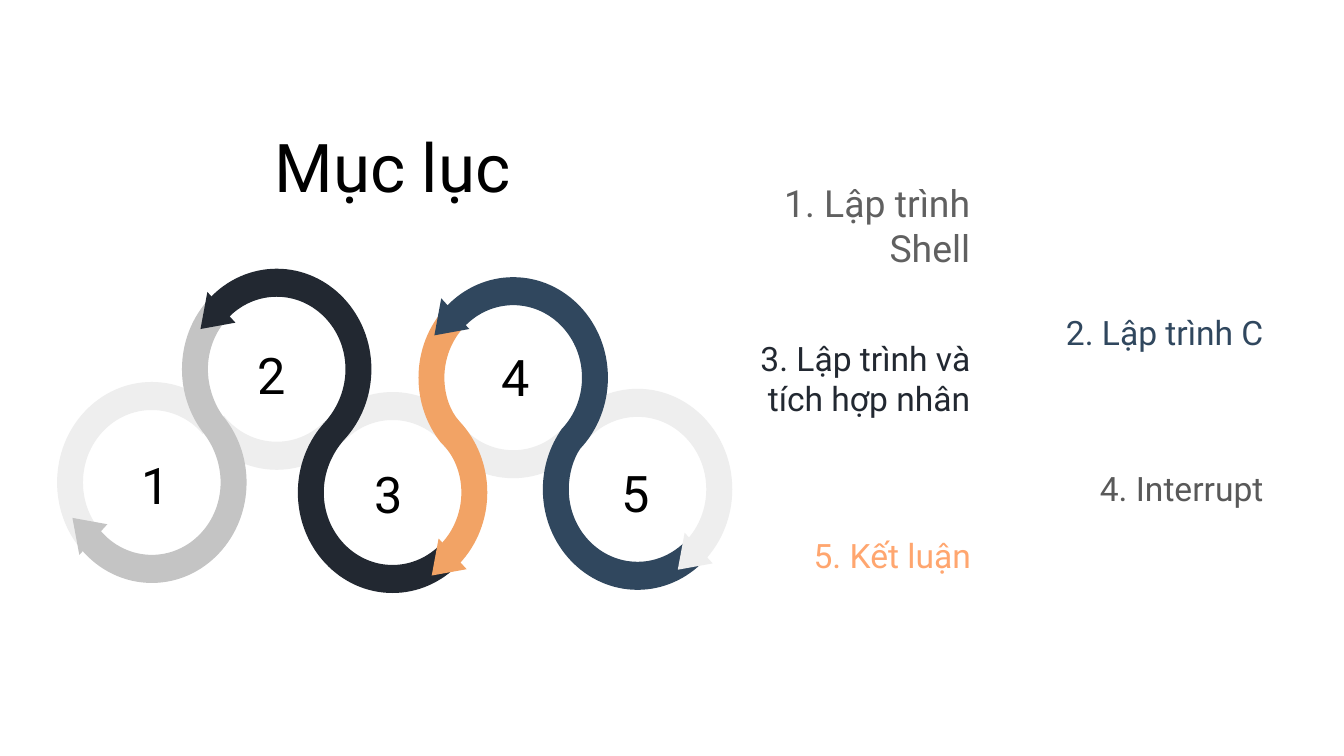
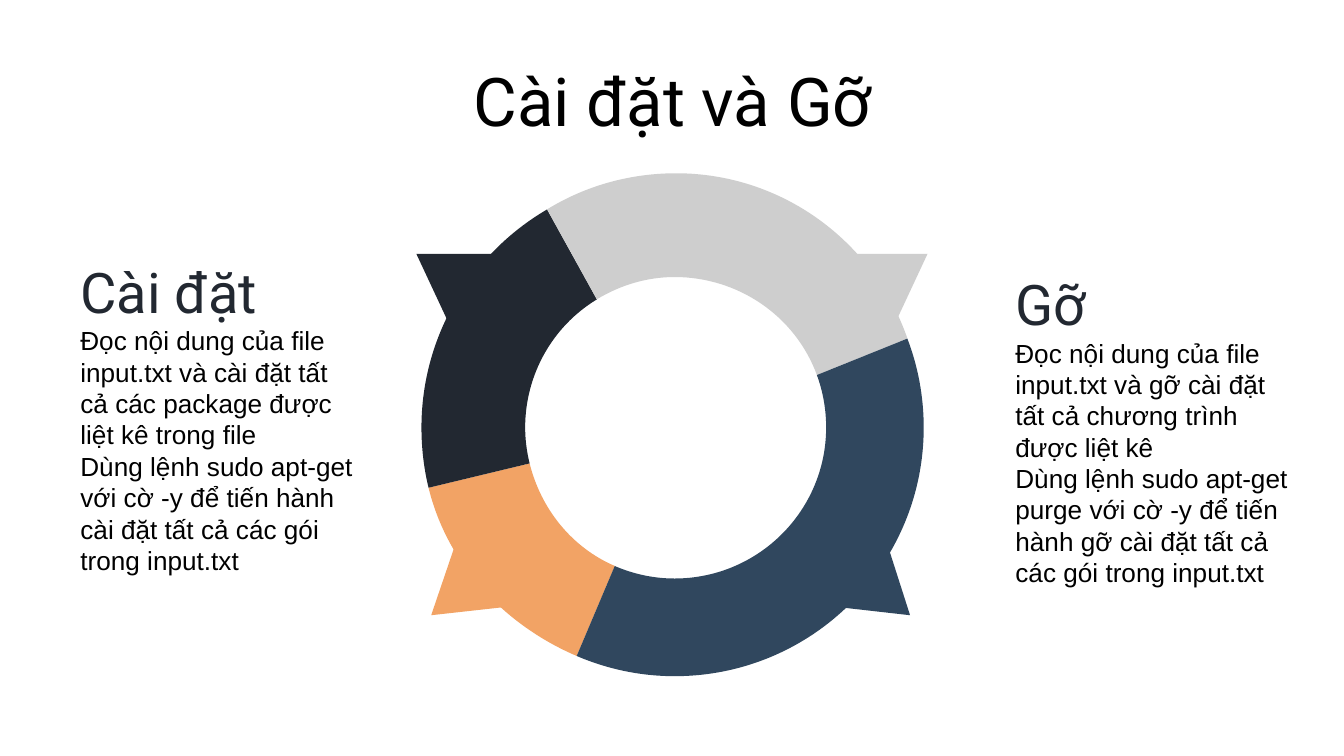
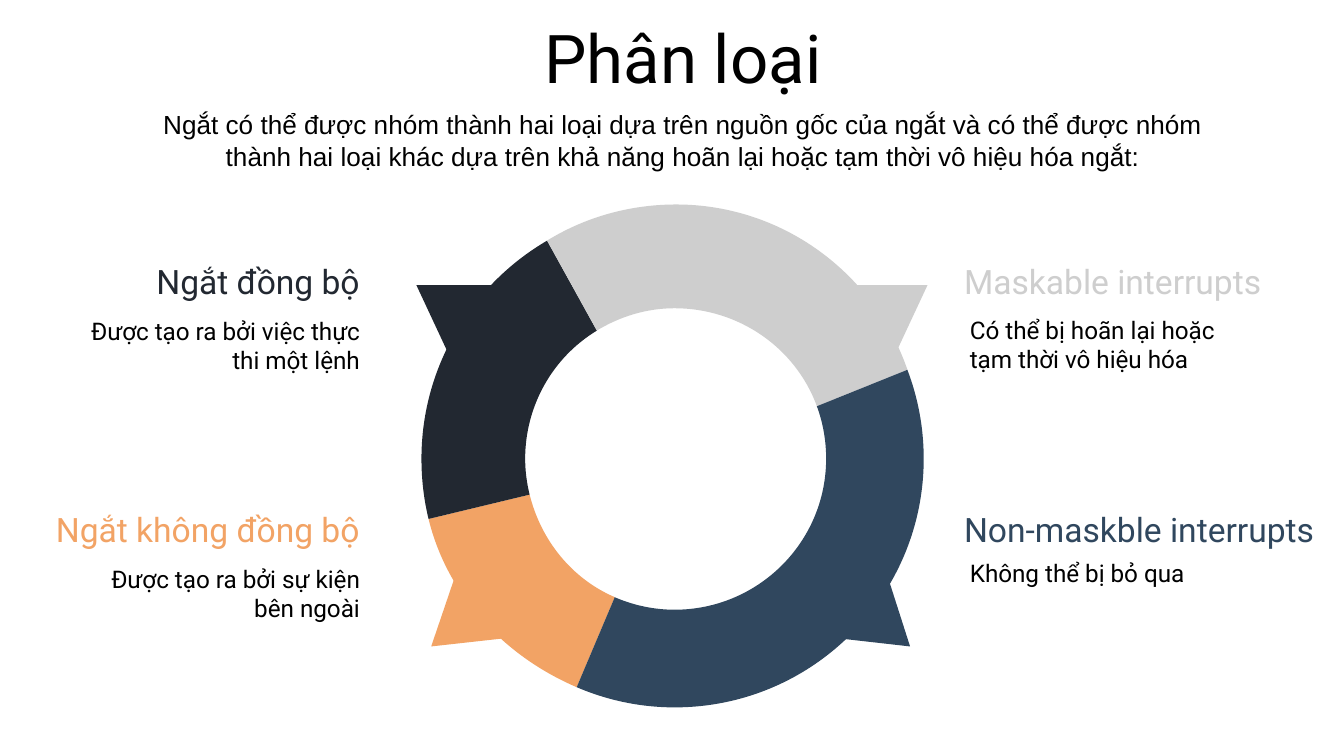
"""Build three slides: a winding contents list and two ring diagrams."""
import math
from dataclasses import dataclass

from lxml import etree
from pptx import Presentation
from pptx import util as u
from pptx.dml import color
from pptx.enum import text
from pptx.oxml import ns
from pptx.slide import Slide

Point = tuple[float, float]
Step = tuple[Point, ...]
LEFT, MID, RIGHT = text.PP_ALIGN.LEFT, text.PP_ALIGN.CENTER, text.PP_ALIGN.RIGHT
TOP, HALF = text.MSO_ANCHOR.TOP, text.MSO_ANCHOR.MIDDLE


@dataclass(frozen=True)
class Theme:
    """Hold the colours, fonts and type sizes of the deck."""
    ink: str = "000000"
    dark: str = "222831"
    blue: str = "30475E"
    warm: str = "F2A365"
    peach: str = "FFA66F"
    pale: str = "EEEEEE"
    grey: str = "C4C4C4"
    cloud: str = "CECECE"
    slate: str = "606060"
    stone: str = "595959"
    sans: str = "Roboto"
    plain: str = "Arial"
    title: int = 36
    topic: int = 30
    digit: int = 27
    lead: int = 20
    head: int = 18
    body: int = 14
    note: int = 13


T = Theme()


@dataclass(frozen=True)
class Line:
    """Describe one paragraph and its look."""
    words: str
    size: int
    tint: str = T.ink
    font: str = T.sans


@dataclass(frozen=True)
class Box:
    """Describe a text box in centimetres."""
    x: float
    y: float
    w: float
    h: float
    lines: tuple[Line, ...]
    align: text.PP_ALIGN = LEFT
    anchor: text.MSO_ANCHOR = HALF


@dataclass(frozen=True)
class Leg:
    """Describe an arc around one of the numbered loops, in degrees."""
    loop: int
    start: float
    end: float


@dataclass(frozen=True)
class Band:
    """Describe a coloured band that runs along one or more loops."""
    tint: str
    legs: tuple[Leg, ...]


@dataclass(frozen=True)
class Arrow:
    """Describe an arrowhead by the corner of its frame."""
    tint: str
    x: float
    y: float
    flip: bool = False


@dataclass(frozen=True)
class Edge:
    """Describe a border between two ring parts."""
    outer: Point
    inner: Point


WIDE, HIGH = 25.4, 14.29
LOOPS = ((2.87, 9.12), (5.23, 6.98), (7.42, 9.31), (9.7, 7.14), (12.05, 9.25))
DIGITS = ((2.95, 9.16), (5.13, 7.07), (7.34, 9.33), (9.75, 7.11), (12.01, 9.3))
OUTER, INNER = (1.79, 1.9), (1.3, 1.37)
HEAD, TALL = ((0.13, 0), (0, 0.7), (0.66, 0.58)), 0.7
BANDS = (
    Band(T.pale, (Leg(4, 225, 405),)),
    Band(T.pale, (Leg(2, 225, 315),)),
    Band(T.pale, (Leg(0, 139, 318),)),
    Band(T.pale, (Leg(1, 45, 140),)),
    Band(T.dark, (Leg(1, 225, 405), Leg(2, 225, 45))),
    Band(T.pale, (Leg(3, 45, 140),)),
    Band(T.grey, (Leg(1, 225, 140), Leg(0, -42, 139))),
    Band(T.warm, (Leg(3, 225, 140), Leg(2, -45, 45))),
    Band(T.blue, (Leg(3, 225, 405), Leg(4, 217, 45))),
)
ARROWS = (
    Arrow(T.grey, 1.37, 9.79, True),
    Arrow(T.dark, 3.79, 5.52),
    Arrow(T.warm, 8.16, 10.18),
    Arrow(T.pale, 12.81, 10.07),
    Arrow(T.blue, 8.21, 5.64),
)

CORE, CROWN = (12.75, 8.08), (12.78, 7.92)
WEST = Edge((8.1, 9.22), (10.01, 8.76))
NORTH = Edge((10.34, 3.96), (11.28, 5.66))
EAST = Edge((17.15, 6.4), (15.44, 7.09))
SOUTH = Edge((10.9, 12.4), (11.62, 10.7))
UPPER = ((7.87, 4.8), (8.51, 6.17), (9.4, 4.8))


@dataclass(frozen=True)
class Part:
    """Describe a ring part between two edges, with its pointer."""
    tint: str
    start: Edge
    end: Edge
    tip: Step
    core: Point = CORE


PARTS = (
    Part(T.warm, SOUTH, WEST, ((8.64, 10.19), (8.15, 11.63), (9.68, 11.46))),
    Part(T.dark, WEST, NORTH, UPPER),
    Part(T.cloud, NORTH, EAST, tuple((WIDE - x, y) for x, y in UPPER), CROWN),
    Part(T.blue, EAST, SOUTH, ((16.74, 10.19), (15.7, 11.46), (17.2, 11.63))),
)


def draw_form(slide: Slide, start: Point, steps: list[Step], tint: str,
              drop: float = 0) -> None:
    """Draw a filled outline; one-point steps are lines, three-point ones curves."""
    def spot(point: Point) -> tuple[int, int]:
        """Return a point in slide units."""
        return u.Cm(point[0]), u.Cm(point[1] + drop)

    pen = slide.shapes.build_freeform(*spot(start))
    pen.add_line_segments([spot(step[-1]) for step in steps], close=True)
    form = pen.convert_to_shape()
    nodes = list(form._element.iter(ns.qn("a:lnTo")))
    for node, step in zip(nodes, steps):
        if len(step) == 3:
            node.tag = ns.qn("a:cubicBezTo")
            for i, (x, y) in enumerate(map(spot, step[:2])):
                node.insert(i, etree.Element(
                    ns.qn("a:pt"), x=str(x - form.left), y=str(y - form.top)))
    form.shadow.inherit = False
    form.fill.solid()
    form.fill.fore_color.rgb = color.RGBColor.from_string(tint)
    form.line.fill.background()


def draw_box(slide: Slide, box: Box) -> None:
    """Draw a text box with its styled paragraphs."""
    shape = slide.shapes.add_textbox(*map(u.Cm, (box.x, box.y, box.w, box.h)))
    frame = shape.text_frame
    frame.word_wrap = True
    frame.vertical_anchor = box.anchor
    frame.margin_left = frame.margin_right = u.Cm(0.25)
    frame.margin_top = frame.margin_bottom = u.Cm(0.25)
    frame.text = "\n".join(line.words for line in box.lines)
    for para, line in zip(frame.paragraphs, box.lines):
        para.alignment = box.align
        for run in para.runs:
            run.font.size = u.Pt(line.size)
            run.font.name = line.font
            run.font.color.rgb = color.RGBColor.from_string(line.tint)


def arc(core: Point, near: Point, far: Point, start: float,
        end: float) -> tuple[Point, list[Step]]:
    """Return the first point and the curves of an arc, cut at each quarter."""
    low, high = sorted((start, end))
    cuts = [90 * i for i in range(-4, 9) if low + 1 < 90 * i < high - 1]
    turns = sorted([start, *cuts, end], reverse=start > end)

    def place(turn: float, pull: float = 0) -> Point:
        """Return a point of the arc, moved along its tangent by pull."""
        part, a = (turn - start) / (end - start), math.radians(turn)
        rx, ry = (n + (f - n) * part for n, f in zip(near, far))
        return (core[0] + rx * (math.cos(a) - pull * math.sin(a)),
                core[1] + ry * (math.sin(a) + pull * math.cos(a)))

    steps = []
    for a, b in zip(turns, turns[1:]):
        pull = 4 / 3 * math.tan(math.radians(b - a) / 4)
        steps.append((place(a, pull), place(b, -pull), place(b)))
    return place(start), steps


def draw_band(slide: Slide, band: Band) -> None:
    """Draw a band whose outer side changes over at each new loop."""
    ahead, back = [], []
    for i, leg in enumerate(band.legs):
        one, two = (OUTER, INNER) if i % 2 == 0 else (INNER, OUTER)
        core = LOOPS[leg.loop]
        ahead.append(arc(core, one, one, leg.start, leg.end))
        back.insert(0, arc(core, two, two, leg.end, leg.start))
    steps = [step for _, curves in ahead for step in curves]
    steps.append((back[0][0],))
    steps += [step for _, curves in back for step in curves]
    draw_form(slide, ahead[0][0], steps, band.tint)


def draw_arrow(slide: Slide, arrow: Arrow) -> None:
    """Draw an arrowhead at the end of a band."""
    first, *rest = [(arrow.x + dx, arrow.y + (TALL - dy if arrow.flip else dy))
                    for dx, dy in HEAD]
    draw_form(slide, first, [(point,) for point in rest], arrow.tint)


def sweep(core: Point, start: Point, end: Point) -> tuple[float, ...]:
    """Return both distances and both clockwise angles around a core."""
    (ax, ay), (bx, by) = ((x - core[0], y - core[1]) for x, y in (start, end))
    first = math.degrees(math.atan2(ay, ax))
    span = (math.degrees(math.atan2(by, bx)) - first) % 360
    return math.hypot(ax, ay), math.hypot(bx, by), first, first + span


def draw_ring(slide: Slide, drop: float = 0) -> None:
    """Draw the four ring parts and their pointers, moved down by drop."""
    for part in PARTS:
        near, far, a, b = sweep(part.core, part.start.outer, part.end.outer)
        first, rim = arc(part.core, (near, near), (far, far), a, b)
        near, far, a, b = sweep(CORE, part.start.inner, part.end.inner)
        turn, hole = arc(CORE, (far, far), (near, near), b, a)
        draw_form(slide, first, [*rim, (turn,), *hole], part.tint, drop)
        draw_form(slide, part.tip[0], [(p,) for p in part.tip[1:]], part.tint, drop)


def draw_title(slide: Slide, words: str, x: float, y: float,
               w: float = 21.46, h: float = 1.35) -> None:
    """Draw a centred slide title."""
    draw_box(slide, Box(x, y, w, h, (Line(words, T.title),), MID))


def make_list(slide: Slide) -> None:
    """Build the contents slide."""
    draw_title(slide, "Mục lục", 4.93, 2.59, 4.98, 1.07)
    for band in BANDS:
        draw_band(slide, band)
    for arrow in ARROWS:
        draw_arrow(slide, arrow)
    for i, (x, y) in enumerate(DIGITS, 1):
        draw_box(slide, Box(x - 0.7, y - 0.74, 1.4, 1.48,
                            (Line(str(i), T.digit),), MID))
    items = (
        (13.87, 3.43, 4.72, 1.65, Line("1. Lập trình Shell", T.lead, T.slate)),
        (13.87, 6.3, 4.72, 1.7, Line("3. Lập trình và tích hợp nhân", T.head, T.dark)),
        (14.87, 10.13, 3.73, 0.74, Line("5. Kết luận", T.head, T.peach)),
        (19.41, 5.91, 4.72, 0.74, Line("2. Lập trình C", T.head, T.blue)),
        (19.41, 8.86, 4.72, 0.74, Line("4. Interrupt", T.head, T.stone)),
    )
    for x, y, w, h, line in items:
        draw_box(slide, Box(x, y, w, h, (line,), RIGHT))


def make_setup(slide: Slide) -> None:
    """Build the slide on installing and removing."""
    draw_ring(slide)
    draw_title(slide, "Cài đặt và Gỡ", 1.98, 1.21)
    sides = (
        (1.27, 3.62, 8.51, HALF, "Cài đặt",
         "Đọc nội dung của file input.txt và cài đặt tất cả các package "
         "được liệt kê trong file",
         "Dùng lệnh sudo apt-get với cờ -y để tiến hành cài đặt tất cả "
         "các gói trong input.txt"),
        (18.94, 4.85, 8.84, TOP, "Gỡ",
         "Đọc nội dung của file input.txt và gỡ cài đặt tất cả chương trình "
         "được liệt kê",
         "Dùng lệnh sudo apt-get purge với cờ -y để tiến hành gỡ cài đặt "
         "tất cả các gói trong input.txt"),
    )
    for x, y, h, anchor, topic, *facts in sides:
        lines = (Line(topic, T.topic, T.dark),
                 *(Line(fact, T.body, font=T.plain) for fact in facts))
        draw_box(slide, Box(x, y, 5.79, h, lines, LEFT, anchor))


def make_kinds(slide: Slide) -> None:
    """Build the slide on kinds of interrupt."""
    draw_ring(slide, 0.59)
    draw_title(slide, "Phân loại", 2.18, 0.39)
    intro = ("Ngắt có thể được nhóm thành hai loại dựa trên nguồn gốc của ngắt "
             "và có thể được nhóm thành hai loại khác dựa trên khả năng hoãn lại "
             "hoặc tạm thời vô hiệu hóa ngắt:")
    draw_box(slide, Box(2.18, 1.97, 21.46, 1.35,
                        (Line(intro, T.body, font=T.plain),), MID))
    kinds = (
        (1.26, 4.9, 5.79, "Ngắt đồng bộ", T.dark, RIGHT,
         1.26, 5.73, "Được tạo ra bởi việc thực thi một lệnh"),
        (0.6, 9.58, 6.45, "Ngắt không đồng bộ", T.warm, RIGHT,
         1.26, 10.41, "Được tạo ra bởi sự kiện bên ngoài"),
        (17.97, 4.9, 6.53, "Maskable interrupts", T.cloud, LEFT,
         18.08, 5.7, "Có thể bị hoãn lại hoặc tạm thời vô hiệu hóa"),
        (17.97, 9.58, 7.57, "Non-maskble interrupts", T.blue, LEFT,
         18.08, 10.31, "Không thể bị bỏ qua"),
    )
    for x, y, w, name, tint, align, left, top, note in kinds:
        draw_box(slide, Box(x, y, w, 0.84, (Line(name, T.head, tint),), align))
        draw_box(slide, Box(left, top, 5.79, 1.47, (Line(note, T.note),), align, TOP))


def main() -> None:
    """Build and save the deck."""
    deck = Presentation()
    deck.slide_width, deck.slide_height = u.Cm(WIDE), u.Cm(HIGH)
    for make in (make_list, make_setup, make_kinds):
        make(deck.slides.add_slide(deck.slide_layouts[6]))
    deck.save("out.pptx")


if __name__ == "__main__":
    main()
